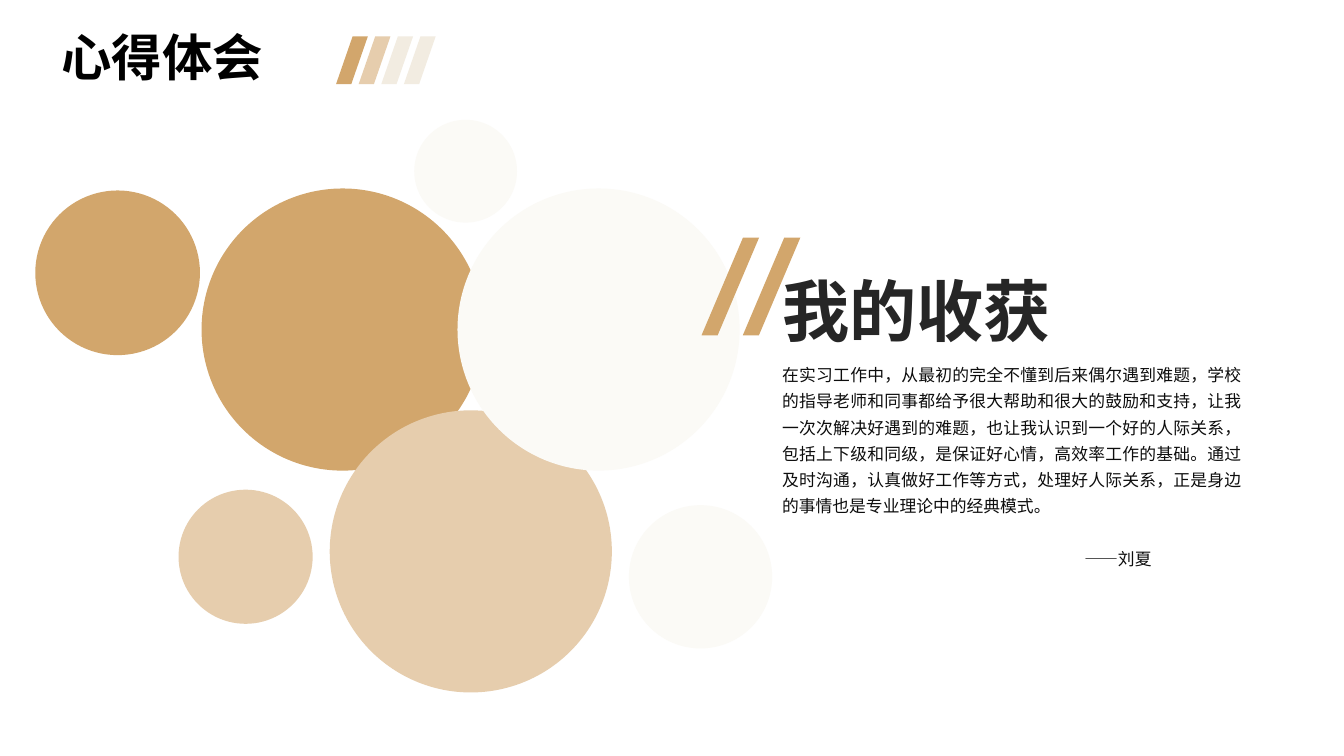
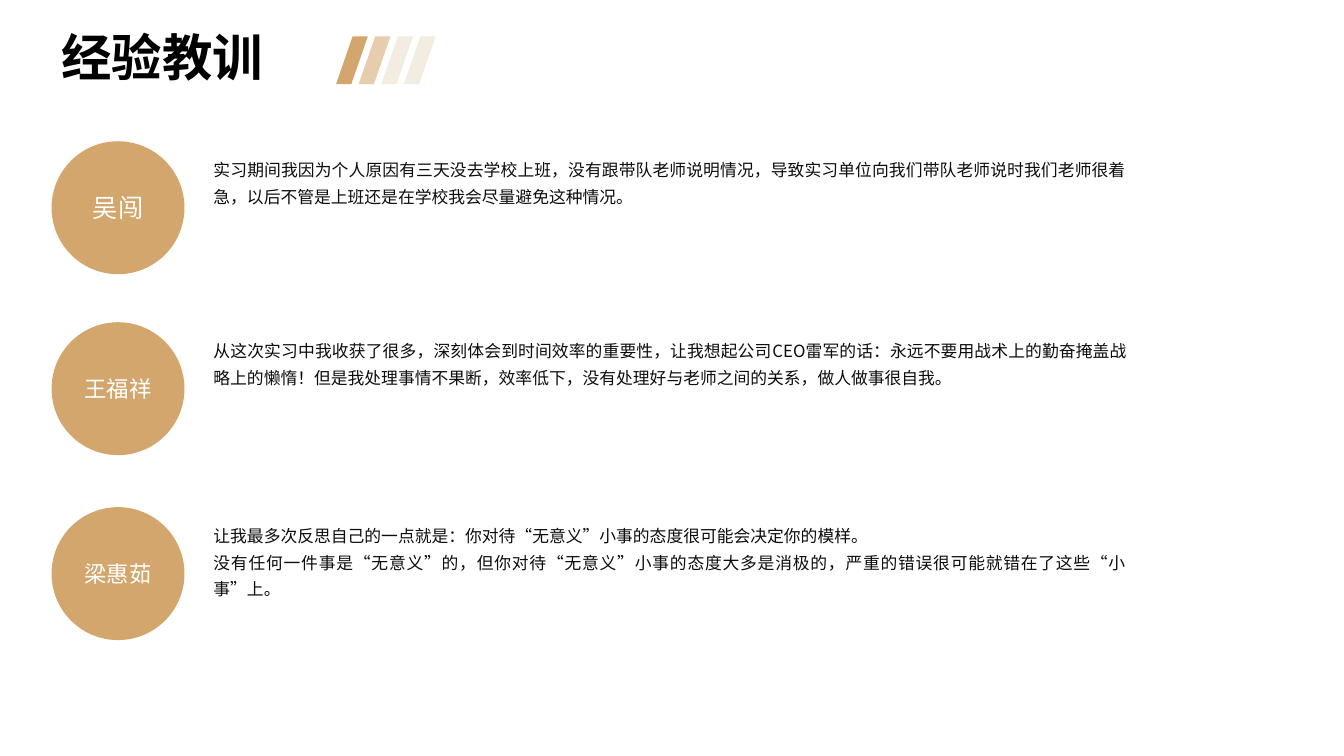
from pptx import Presentation
from pptx.dml.color import RGBColor
from pptx.enum.shapes import MSO_SHAPE
from pptx.enum.text import MSO_ANCHOR, PP_ALIGN
from pptx.oxml.ns import qn
from pptx.util import Cm, Pt

ELLIPSE = MSO_SHAPE.OVAL
PARALLELOGRAM = MSO_SHAPE.PARALLELOGRAM
MIDDLE, TOP = MSO_ANCHOR.MIDDLE, MSO_ANCHOR.TOP
LEFT, CENTER, JUSTIFY = PP_ALIGN.LEFT, PP_ALIGN.CENTER, PP_ALIGN.JUSTIFY

GOLD, SAND, CREAM, IVORY = "D2A66C", "E6CDAD", "F2ECE1", "FBFAF6"
BLACK, CHARCOAL, INK, WHITE = "000000", "262626", "0D0D0D", "FFFFFF"
HEADING_FONT, BODY_FONT = "Arial", "Noto Sans CJK SC"


def color(hex_string):
    return RGBColor.from_string(hex_string)


class Deck:
    """Holds the presentation, its style and the current slide."""

    def __init__(self):
        self.presentation = Presentation()
        self.presentation.slide_width = Cm(33.87)
        self.presentation.slide_height = Cm(19.05)
        self.slide = None

    def new_slide(self, title):
        blank_layout = self.presentation.slide_layouts[6]
        self.slide = self.presentation.slides.add_slide(blank_layout)
        for index, fill in enumerate((GOLD, SAND, CREAM, CREAM)):
            self.slash(8.47 + 0.57 * index, 0.92, 0.8, 1.2, 0.52, fill)
        frame = self.text_box(1.3, 0.69, 7.47, 1.65, anchor=MIDDLE)
        self.add_text(frame.paragraphs[0], title, 36, BLACK, bold=True, line_spacing=0.9)

    def shape(self, kind, left, top, width, height, fill):
        shape = self.slide.shapes.add_shape(kind, Cm(left), Cm(top), Cm(width), Cm(height))
        shape.shadow.inherit = False
        shape.fill.solid()
        shape.fill.fore_color.rgb = color(fill)
        shape.line.fill.background()
        return shape

    def slash(self, left, top, width, height, slant, fill):
        shape = self.shape(PARALLELOGRAM, left, top, width, height, fill)
        shape.adjustments[0] = slant

    def circle(self, left, top, diameter, fill):
        return self.shape(ELLIPSE, left, top, diameter, diameter, fill)

    def name_circle(self, left, top, diameter, name, size):
        frame = self.circle(left, top, diameter, GOLD).text_frame
        frame.vertical_anchor = MIDDLE
        self.add_text(frame.paragraphs[0], name, size, WHITE, align=CENTER)

    def text_box(self, left, top, width, height, anchor=TOP, wrap=True):
        box = self.slide.shapes.add_textbox(Cm(left), Cm(top), Cm(width), Cm(height))
        box.text_frame.word_wrap = wrap
        box.text_frame.vertical_anchor = anchor
        return box.text_frame

    def add_text(self, paragraph, text, size, ink, font=HEADING_FONT, bold=False,
                 align=LEFT, line_spacing=1.0):
        paragraph.alignment = align
        paragraph.line_spacing = line_spacing
        run = paragraph.add_run()
        run.text = text
        run.font.size = Pt(size)
        run.font.bold = bold
        run.font.color.rgb = color(ink)
        run.font.name = font
        properties = run._r.get_or_add_rPr()
        east_asian = properties.makeelement(qn("a:ea"), {"typeface": BODY_FONT})
        properties.find(qn("a:latin")).addnext(east_asian)

    def body(self, left, top, width, height, texts):
        """Add justified running text and return its last paragraph."""
        frame = self.text_box(left, top, width, height)
        for index, text in enumerate(texts):
            paragraph = frame.add_paragraph() if index else frame.paragraphs[0]
            self.add_text(paragraph, text, 12, INK, BODY_FONT, align=JUSTIFY, line_spacing=1.3)
        return paragraph


def build_gains(deck):
    deck.new_slide("心得体会")
    for left, top, diameter, fill in (
        (0.89, 4.8, 4.15, GOLD),
        (5.08, 4.75, 7.11, GOLD),
        (8.31, 10.34, 7.11, SAND),
        (11.53, 4.75, 7.11, IVORY),
        (15.85, 12.73, 3.61, IVORY),
        (10.44, 3.02, 2.59, IVORY),
        (4.5, 12.34, 3.38, SAND),
    ):
        deck.circle(left, top, diameter, fill)
    for left in (17.68, 18.72):
        deck.slash(left, 5.99, 1.45, 2.46, 0.72, GOLD)

    heading = deck.text_box(19.46, 6.65, 7.34, 2.31, wrap=False)
    deck.add_text(heading.paragraphs[0], "我的收获", 48, CHARCOAL, bold=True)
    signature = deck.body(19.46, 8.92, 12.09, 5.59, (
        "在实习工作中，从最初的完全不懂到后来偶尔遇到难题，学校的指导老师和同事都给予很大帮助和"
        "很大的鼓励和支持，让我一次次解决好遇到的难题，也让我认识到一个好的人际关系，包括上下级"
        "和同级，是保证好心情，高效率工作的基础。通过及时沟通，认真做好工作等方式，处理好人际关系，"
        "正是身边的事情也是专业理论中的经典模式。",
        "——刘夏",
    ))
    signature.space_before = Pt(18.7)
    signature._p.get_or_add_pPr().set("marL", str(Cm(7.62)))


def build_lessons(deck):
    deck.new_slide("经验教训")
    for top, name, size, texts in (
        (3.56, "吴闯", 18, (
            "实习期间我因为个人原因有三天没去学校上班，没有跟带队老师说明情况，导致实习单位向我们"
            "带队老师说时我们老师很着急，以后不管是上班还是在学校我会尽量避免这种情况。",
        )),
        (8.12, "王福祥", 16, (
            "从这次实习中我收获了很多，深刻体会到时间效率的重要性，让我想起公司CEO雷军的话："
            "永远不要用战术上的勤奋掩盖战略上的懒惰！但是我处理事情不果断，效率低下，"
            "没有处理好与老师之间的关系，做人做事很自我。",
        )),
        (12.78, "梁惠茹", 16, (
            "让我最多次反思自己的一点就是：你对待“无意义”小事的态度很可能会决定你的模样。",
            "没有任何一件事是“无意义”的，但你对待“无意义”小事的态度大多是消极的，"
            "严重的错误很可能就错在了这些“小事”上。",
        )),
    ):
        deck.name_circle(1.3, top, 3.35, name, size)
        deck.body(5.13, top + 0.2, 23.52, 0.92 + 0.68 * len(texts), texts)


def main():
    deck = Deck()
    build_gains(deck)
    build_lessons(deck)
    deck.presentation.save("out.pptx")


if __name__ == "__main__":
    main()
